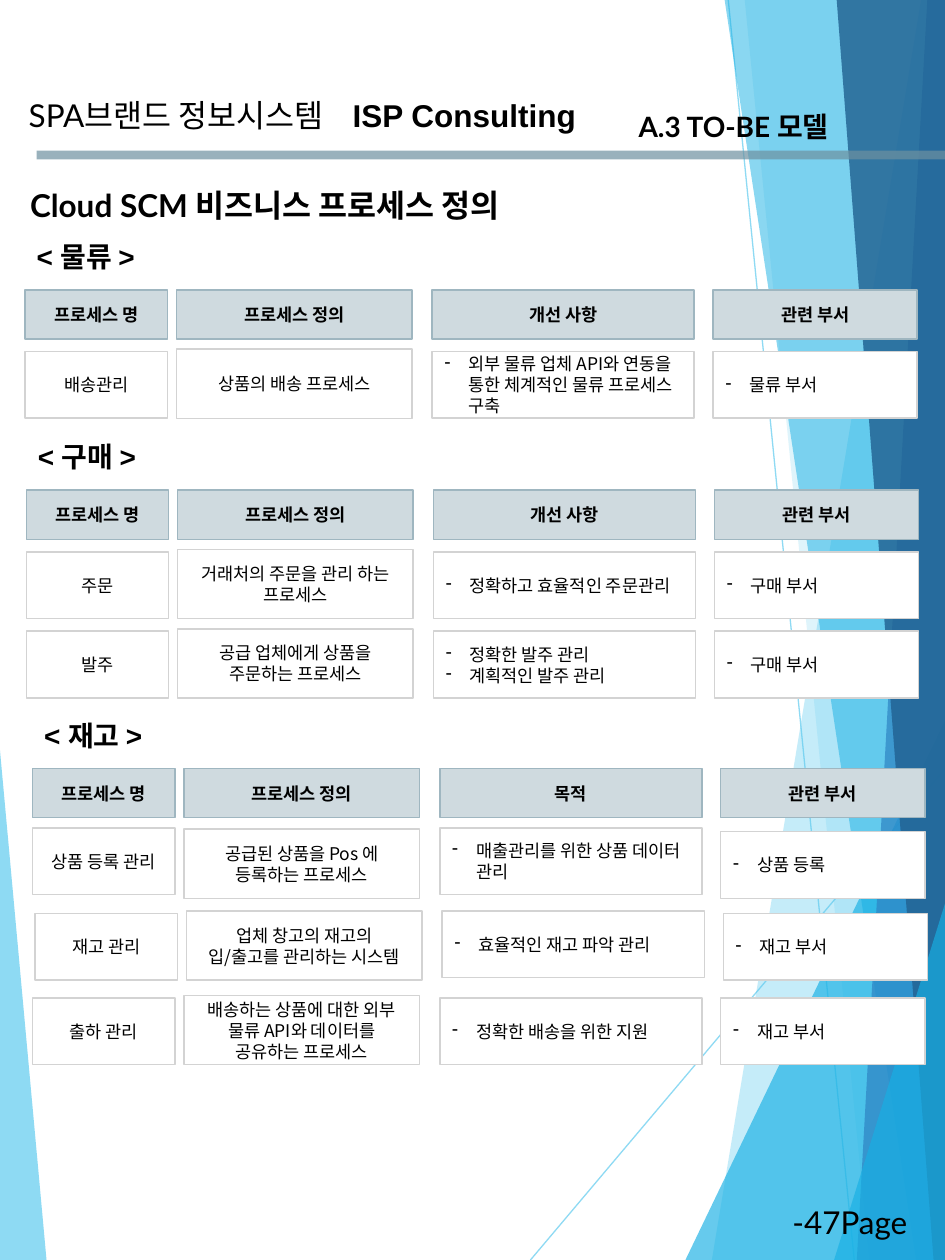
import pptx
import pptx.dml.color
import pptx.enum.shapes
import pptx.enum.text
import pptx.oxml.ns
import pptx.util
from lxml import etree

Inches = pptx.util.Inches
Pt = pptx.util.Pt
qn = pptx.oxml.ns.qn
ALIGN = pptx.enum.text.PP_ALIGN
KOREAN = "Noto Sans CJK KR"

# Decorative facets: colour, opacity in percent, corner points
FACETS = [
    ("5FCBEF", 70, [(-0.01, 5.85), (0.37, 10.01), (-0.01, 10)]),
    ("5FCBEF", 36, [(7.31, 0), (5.65, 10), (7.51, 10.01), (7.51, 0)]),
    ("5FCBEF", 20, [(5.91, -0.01), (6.9, 10), (7.51, 10), (7.51, -0.01)]),
    ("17B0E4", 66, [(5.44, 10), (7.5, 5.72), (7.51, 10)]),
    ("17B0E4", 50, [(5.75, -0.01), (7.27, 10), (7.51, 10), (7.51, -0.01)]),
    ("2E83C3", 70, [(7.36, -0.01), (6.8, 10), (7.51, 10), (7.5, -0.01)]),
    ("226292", 82, [(6.64, -0.01), (7.41, 10), (7.51, 10), (7.5, -0.01)]),
    ("17B0E4", 66, [(6.62, 10), (7.51, 7.14), (7.52, 10)]),
]
RAYS = [((4.21, 10), (7.51, 6.09)), ((5.78, 0), (6.78, 10))]

# Process grid: column offsets, widths and row heights
COLUMN_OFFSETS = [0, 1.2, 3.23, 5.46]
COLUMN_WIDTHS = [1.13, 1.87, 2.08, 1.62]
ROW_HEIGHTS = [0.53, 0.55, 0.53, 0.53]
HEADER_HEIGHT = 0.39
LEVEL = [0, 0, 0, 0]

# Sections: title, left, header top, third heading, rows
# Rows: left, bottom, how far each cell is raised, texts
SECTIONS = [
    ("< 물류 >", 0.2, 2.3, "개선 사항", [
        (0.2, 3.32, LEVEL, ["배송관리", "상품의 배송 프로세스",
                            "외부 물류 업체 API와 연동을 통한 체계적인 물류 프로세스 구축",
                            "물류 부서"]),
    ]),
    ("< 구매 >", 0.21, 3.89, "개선 사항", [
        (0.21, 4.91, LEVEL, ["주문", "거래처의 주문을 관리 하는 프로세스",
                             "정확하고 효율적인 주문관리", "구매 부서"]),
        (0.21, 5.54, LEVEL, ["발주", "공급 업체에게 상품을 주문하는 프로세스",
                             "정확한 발주 관리\n계획적인 발주 관리", "구매 부서"]),
    ]),
    ("< 재고 >", 0.26, 6.1, "목적", [
        (0.26, 7.13, [0.03, 0, 0.03, 0],
         ["상품 등록 관리", "공급된 상품을 Pos 에 등록하는 프로세스",
          "매출관리를 위한 상품 데이터 관리", "상품 등록"]),
        (0.28, 7.78, [0, 0, 0.02, 0],
         ["재고 관리", "업체 창고의 재고의 입/출고를 관리하는 시스템",
          "효율적인 재고 파악 관리", "재고 부서"]),
        (0.26, 8.45, LEVEL,
         ["출하 관리", "배송하는 상품에 대한 외부 물류 API와 데이터를 공유하는 프로세스",
          "정확한 배송을 위한 지원", "재고 부서"]),
    ]),
]


def rgb(value):
    return pptx.dml.color.RGBColor.from_string(value)


def set_opacity(element, percent):
    color = next(element.iter(qn("a:srgbClr")))
    etree.SubElement(color, qn("a:alpha")).set("val", str(percent * 1000))


def format_runs(paragraph, size, font, bold):
    for run in paragraph.runs:
        run.font.size = Pt(size)
        run.font.bold = bold
        run.font.color.rgb = rgb("000000")
        run.font.name = font
        east_asian = etree.SubElement(run.font._element, qn("a:ea"))
        east_asian.set("typeface", KOREAN)


def add_dash_bullet(paragraph):
    properties = paragraph._p.get_or_add_pPr()
    properties.set("marL", str(Inches(0.19)))
    properties.set("indent", str(-Inches(0.19)))
    etree.SubElement(properties, qn("a:buChar")).set("char", "-")


def add_facet(slide, color, opacity, points):
    corners = [(Inches(x), Inches(y)) for x, y in points]
    builder = slide.shapes.build_freeform(*corners[0])
    builder.add_line_segments(corners[1:], close=True)
    facet = builder.convert_to_shape()
    facet.shadow.inherit = False
    facet.fill.solid()
    facet.fill.fore_color.rgb = rgb(color)
    set_opacity(facet._element.spPr, opacity)
    facet.line.fill.background()


def add_line(slide, start, end, color, width, opacity):
    line = slide.shapes.add_connector(
        pptx.enum.shapes.MSO_CONNECTOR.STRAIGHT,
        *[Inches(value) for value in start + end])
    line.line.color.rgb = rgb(color)
    line.line.width = Pt(width)
    set_opacity(line._element.spPr, opacity)
    etree.SubElement(line._element.spPr, qn("a:effectLst"))


def add_label(slide, box, text, size, font="Lato", bold=False, centered=False):
    label = slide.shapes.add_textbox(*[Inches(value) for value in box])
    frame = label.text_frame
    frame.word_wrap = centered
    frame.auto_size = pptx.enum.text.MSO_AUTO_SIZE.SHAPE_TO_FIT_TEXT
    frame.text = text
    paragraph = frame.paragraphs[0]
    paragraph.alignment = ALIGN.CENTER if centered else ALIGN.LEFT
    format_runs(paragraph, size, font, bold)


def add_cell(slide, box, text, header=False, bulleted=False):
    cell = slide.shapes.add_shape(
        pptx.enum.shapes.MSO_SHAPE.RECTANGLE, *[Inches(value) for value in box])
    cell.shadow.inherit = False
    cell.fill.solid()
    cell.fill.fore_color.rgb = rgb("CFDADF" if header else "FFFFFF")
    cell.line.color.rgb = rgb("9FB6C0" if header else "D3D3D3")
    cell.line.width = Pt(0.85)
    frame = cell.text_frame
    frame.word_wrap = True
    frame.vertical_anchor = pptx.enum.text.MSO_ANCHOR.MIDDLE
    frame.text = text
    for paragraph in frame.paragraphs:
        paragraph.alignment = ALIGN.LEFT if bulleted else ALIGN.CENTER
        if bulleted:
            add_dash_bullet(paragraph)
        format_runs(paragraph, 10, KOREAN, header)


def add_section(slide, title, left, top, third_heading, rows):
    headings = ["프로세스 명", "프로세스 정의", third_heading, "관련 부서"]
    for heading, offset, width in zip(headings, COLUMN_OFFSETS, COLUMN_WIDTHS):
        add_cell(slide, (left + offset, top, width, HEADER_HEIGHT), heading,
                 header=True)
    for row_left, bottom, raises, texts in rows:
        columns = zip(texts, COLUMN_OFFSETS, COLUMN_WIDTHS, ROW_HEIGHTS, raises)
        for index, (text, offset, width, height, lift) in enumerate(columns):
            box = (row_left + offset, bottom - height - lift, width, height)
            add_cell(slide, box, text, bulleted=index >= 2)
    add_label(slide, (left - 0.17, top - 0.45, 1.3, 0.37), title, 16,
              font="Arial", bold=True, centered=True)


def main():
    deck = pptx.Presentation()
    deck.slide_width = Inches(7.5)
    deck.slide_height = Inches(10)
    slide = deck.slides.add_slide(deck.slide_layouts[6])

    # Background decoration
    add_facet(slide, *FACETS[0])
    for start, end in RAYS:
        add_line(slide, start, end, "5FCBEF", 0.75, 70)
    for facet in FACETS[1:]:
        add_facet(slide, *facet)

    # Page header
    add_line(slide, (0.29, 1.23), (7.5, 1.23), "6E91A0", 5, 70)
    add_label(slide, (2.7, 0.71, 2.07, 0.4), "ISP Consulting", 18,
              font="Arial", bold=True)
    add_label(slide, (0.13, 0.71, 2.74, 0.4), "SPA브랜드 정보시스템", 18)
    add_label(slide, (4.97, 0.82, 1.76, 0.37), "A.3 TO-BE 모델", 16, bold=True)
    add_label(slide, (0.14, 1.43, 4.11, 0.4),
              "Cloud SCM 비즈니스 프로세스 정의", 18, bold=True)

    # Process sections
    for section in SECTIONS:
        add_section(slide, *section)

    # Page number
    add_label(slide, (6.19, 9.5, 1.18, 0.4), "-47Page-", 18)

    deck.save("out.pptx")


if __name__ == "__main__":
    main()
